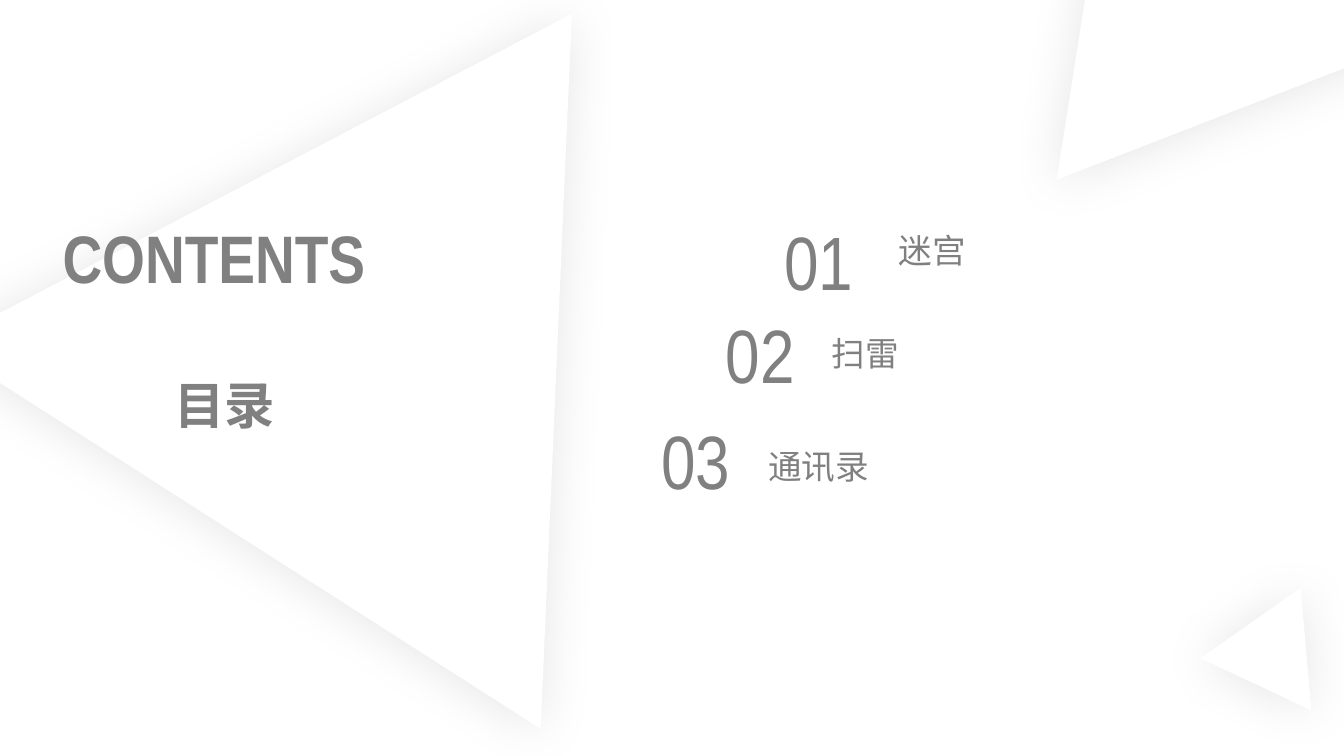
from dataclasses import dataclass

from lxml import etree
from pptx import Presentation
from pptx.dml.color import RGBColor
from pptx.enum.shapes import MSO_CONNECTOR as Connector, MSO_SHAPE as Preset
from pptx.enum.text import MSO_ANCHOR as Anchor, MSO_AUTO_SIZE as AutoSize, PP_ALIGN as Align
from pptx.oxml import parse_xml
from pptx.oxml.ns import nsdecls, qn
from pptx.util import Inches, Pt


@dataclass(frozen=True)
class Theme:
    font: str = "Arial Narrow"
    grey: RGBColor = RGBColor(0x80, 0x80, 0x80)
    white: RGBColor = RGBColor(0xFF, 0xFF, 0xFF)
    heading: int = 48
    subheading: int = 36
    number: int = 54
    entry: int = 24


THEME = Theme()

# Soft shadow, stretched away from the tip of the triangle
SHADOW = (
    f'<a:effectLst {nsdecls("a")}>'
    f'<a:outerShdw blurRad="{Pt(37)}" dist="{Pt(1.8)}" dir="{87 * 60000}" '
    'sy="112000" algn="t" rotWithShape="1">'
    '<a:srgbClr val="000000"><a:alpha val="10000"/></a:srgbClr>'
    '</a:outerShdw></a:effectLst>'
)

# Left, top, width, height, rotation
LARGE_TRIANGLE = (-1.09, 0.49, 7.1, 6.12, 272.5)
CORNER_TRIANGLES = [
    (9.69, -2.44, 4.17, 3.59, 338.8),
    (11.82, 5.96, 1.22, 1.05, 265),
]

# Number, its left and top, entry, its left, top and height
ENTRIES = [
    ("01", 7.68, 2.08, " 迷宫", 8.74, 2.23, 0.71),
    ("02", 7.1, 3.01, "扫雷", 8.15, 3.25, 0.5),
    ("03", 6.46, 4.06, "通讯录", 7.52, 4.37, 0.71),
]


def add_triangle(page, left, top, width, height, rotation):
    triangle = page.shapes.add_shape(
        Preset.ISOSCELES_TRIANGLE,
        Inches(left), Inches(top), Inches(width), Inches(height))
    triangle.rotation = rotation
    triangle.fill.solid()
    triangle.fill.fore_color.rgb = THEME.white
    triangle.line.fill.background()
    triangle.element.spPr.append(parse_xml(SHADOW))


def write_text(box, text, size, bold=False, wrap=True):
    frame = box.text_frame
    frame.text = text
    frame.word_wrap = wrap
    frame.auto_size = AutoSize.SHAPE_TO_FIT_TEXT
    frame.vertical_anchor = Anchor.TOP
    para = frame.paragraphs[0]
    para.alignment = Align.LEFT
    font = para.runs[0].font
    font.name = THEME.font
    font.size = Pt(size)
    font.bold = bold
    font.color.rgb = THEME.grey


def add_text(page, left, top, width, height, text, size, bold=False):
    box = page.shapes.add_textbox(
        Inches(left), Inches(top), Inches(width), Inches(height))
    write_text(box, text, size, bold)


def place_title(page, left, top, width, height, text):
    title = page.shapes.title
    title.left, title.top = Inches(left), Inches(top)
    title.width, title.height = Inches(width), Inches(height)
    write_text(title, text, THEME.heading, bold=True, wrap=False)
    # Bring the title in front of the large triangle
    title.element.getparent().append(title.element)


def add_rule(page, left, right, top):
    rule = page.shapes.add_connector(
        Connector.STRAIGHT, Inches(left), Inches(top), Inches(right), Inches(top))
    rule.line.color.rgb = THEME.white
    rule.line.width = Pt(0.5)
    etree.SubElement(rule.element.spPr, qn("a:effectLst"))


def main():
    deck = Presentation()
    deck.slide_width, deck.slide_height = Inches(13.33), Inches(7.5)
    page = deck.slides.add_slide(deck.slide_layouts[5])
    page.background.fill.solid()
    page.background.fill.fore_color.rgb = THEME.white

    # Heading on the large triangle
    add_triangle(page, *LARGE_TRIANGLE)
    place_title(page, 0.52, 2.1, 3.21, 0.91, "CONTENTS")
    add_rule(page, 1.22, 3.72, 3.07)
    add_text(page, 1.63, 3.66, 1.8, 0.71, "目录", THEME.subheading, bold=True)

    # Contents list
    for number, number_left, number_top, entry, left, top, height in ENTRIES:
        add_text(page, left, top, 3.82, height, entry, THEME.entry)
        add_text(page, number_left, number_top, 1.84, 1.01, number, THEME.number)

    # Decoration on the right
    for triangle in CORNER_TRIANGLES:
        add_triangle(page, *triangle)

    deck.save("out.pptx")


if __name__ == "__main__":
    main()
